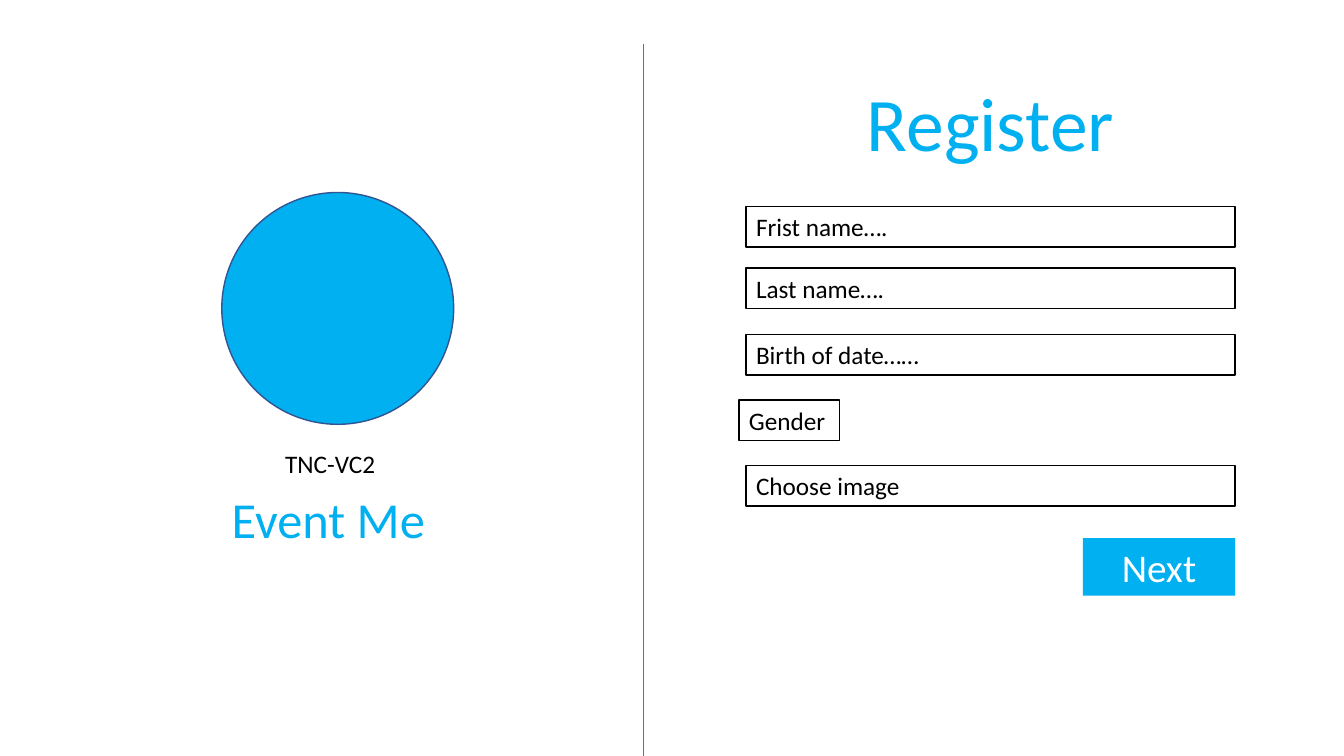
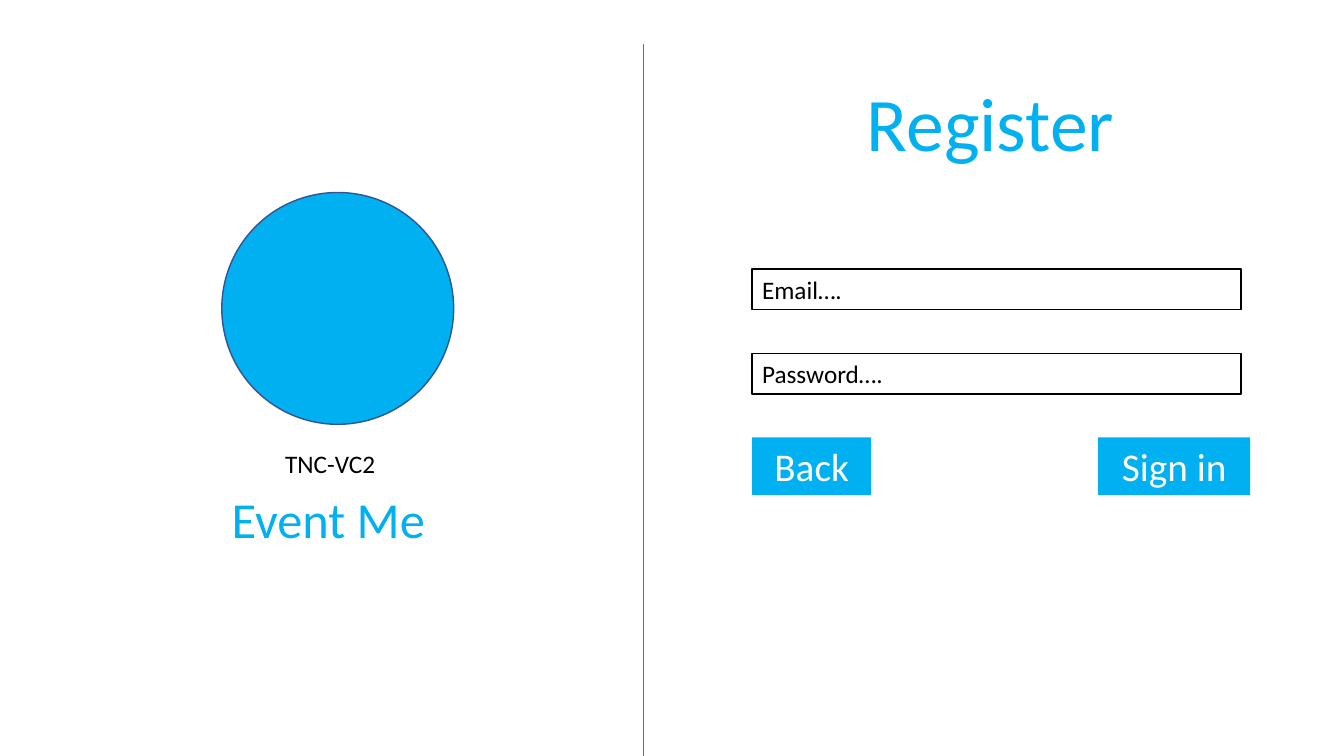
"""Build the two registration screens."""
from dataclasses import dataclass

from lxml import etree
from pptx import Presentation
from pptx.dml.color import RGBColor
from pptx.enum import shapes, text
from pptx.oxml.ns import qn
from pptx.util import Inches, Pt

FONT = "Calibri"
ACCENT = "00B0F0"
INK = "000000"
WHITE = "FFFFFF"
CIRCLE_EDGE = "325491"
DIVIDER = "4472C4"

FIELD_WIDTH, FIELD_HEIGHT = 4.85, 0.4
BUTTON_WIDTH, BUTTON_HEIGHT = 1.51, 0.57


@dataclass(frozen=True)
class Field:
    """An outlined form field."""

    label: str
    left: float
    top: float
    width: float = FIELD_WIDTH


@dataclass(frozen=True)
class Button:
    """A filled button."""

    label: str
    left: float
    top: float
    width: float = BUTTON_WIDTH


@dataclass(frozen=True)
class Screen:
    """The fields and buttons of one registration step."""

    fields: tuple[Field, ...]
    buttons: tuple[Button, ...]


SCREENS = (
    Screen(
        fields=(
            Field("Frist name….", 7.4, 2.05),
            Field("Last name….", 7.4, 2.66),
            Field("Birth of date……", 7.4, 3.32),
            Field("Gender", 7.33, 3.97, 1),
            Field("Choose image", 7.4, 4.62),
        ),
        buttons=(Button("Next", 10.74, 5.34),),
    ),
    Screen(
        fields=(Field("Email….", 7.46, 2.67), Field("Password….", 7.46, 3.51)),
        buttons=(Button("Back", 7.46, 4.34, 1.18), Button("Sign in", 10.89, 4.34)),
    ),
)


def rgb(color: str) -> RGBColor:
    """Turn a hex string into a colour."""
    return RGBColor.from_string(color)


def add_text(slide, words: str, left: float, top: float, width: float, height: float, *,
             size: float = 18, color: str = INK, centered: bool = False,
             fill: str | None = None, edge: str | None = None) -> None:
    """Add a text box with an optional fill and outline."""
    box = slide.shapes.add_textbox(Inches(left), Inches(top), Inches(width), Inches(height))
    if fill:
        box.fill.solid()
        box.fill.fore_color.rgb = rgb(fill)
    if edge:
        box.line.color.rgb = rgb(edge)
        box.line.width = Pt(1)
    frame = box.text_frame
    frame.word_wrap = True
    frame.auto_size = text.MSO_AUTO_SIZE.SHAPE_TO_FIT_TEXT
    paragraph = frame.paragraphs[0]
    paragraph.alignment = text.PP_ALIGN.CENTER if centered else text.PP_ALIGN.LEFT
    run = paragraph.add_run()
    run.text = words
    run.font.name = FONT
    run.font.size = Pt(size)
    run.font.color.rgb = rgb(color)


def add_brand(slide) -> None:
    """Draw the circle and the names in the left half."""
    circle = slide.shapes.add_shape(
        shapes.MSO_SHAPE.OVAL, Inches(2.2), Inches(1.91), Inches(2.3), Inches(2.3))
    circle.shadow.inherit = False
    circle.fill.solid()
    circle.fill.fore_color.rgb = rgb(ACCENT)
    circle.line.color.rgb = rgb(CIRCLE_EDGE)
    circle.line.width = Pt(1)
    add_text(slide, "TNC-VC2", 2.73, 4.4, 1.14, 0.4)
    add_text(slide, "Event Me", 2.2, 4.79, 2.3, 0.71, size=36, color=ACCENT)


def add_divider(slide) -> None:
    """Draw the line between the two halves."""
    divider = slide.shapes.add_connector(
        shapes.MSO_CONNECTOR.STRAIGHT, Inches(6.38), Inches(0.44), Inches(6.38), Inches(7.5))
    divider.line.color.rgb = rgb(DIVIDER)
    divider.line.width = Pt(0.5)
    etree.SubElement(divider._element.spPr, qn("a:effectLst"))


def add_screen(presentation, screen: Screen) -> None:
    """Add one registration slide."""
    slide = presentation.slides.add_slide(presentation.slide_layouts[6])
    add_brand(slide)
    add_divider(slide)
    add_text(slide, "Register", 7.61, 0.7, 4.43, 1.01, size=54, color=ACCENT, centered=True)
    for field in screen.fields:
        add_text(slide, field.label, field.left, field.top, field.width, FIELD_HEIGHT, edge=INK)
    for button in screen.buttons:
        add_text(slide, button.label, button.left, button.top, button.width, BUTTON_HEIGHT,
                 size=28, color=WHITE, centered=True, fill=ACCENT)


def main() -> None:
    """Build and save the presentation."""
    presentation = Presentation()
    presentation.slide_width = Inches(13.33)
    presentation.slide_height = Inches(7.5)
    for screen in SCREENS:
        add_screen(presentation, screen)
    presentation.save("out.pptx")


if __name__ == "__main__":
    main()
